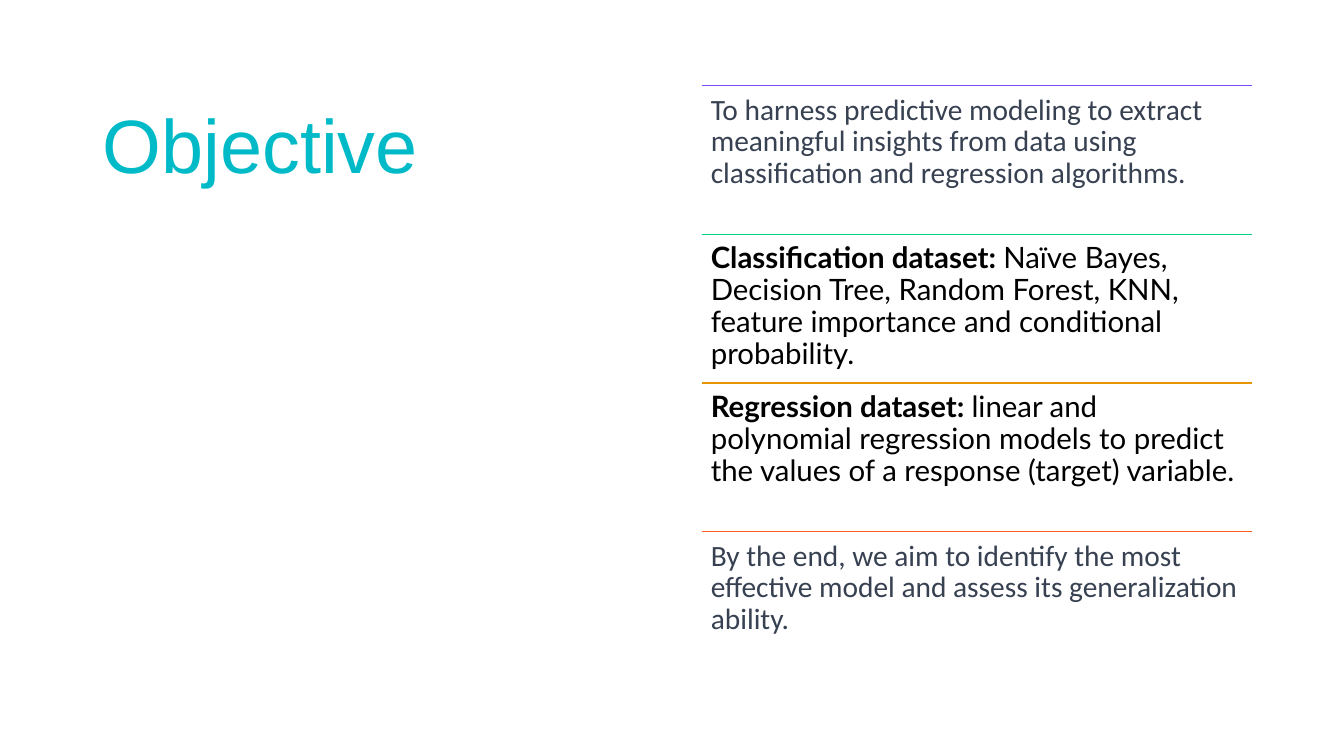
from dataclasses import dataclass

from lxml import etree
from pptx import Presentation
from pptx.dml.color import RGBColor
from pptx.enum.shapes import MSO_CONNECTOR
from pptx.enum.text import MSO_ANCHOR, PP_ALIGN
from pptx.oxml.ns import qn
from pptx.util import Inches, Pt

STRAIGHT = MSO_CONNECTOR.STRAIGHT
TOP = MSO_ANCHOR.TOP
LEFT = PP_ALIGN.LEFT


@dataclass(frozen=True)
class Theme:
    title_color: str = "00BAC8"
    slate: str = "374151"
    black: str = "000000"
    rules: tuple = ("794DFF", "00D17D", "E69500", "FE5D21")
    title_font: str = "Arial"
    plain_font: str = "Calibri"
    dataset_font: str = "Lato"
    title_size: int = 54
    body_size: int = 21
    rule_width: int = 1


THEME = Theme()

# Column layout in inches
TITLE_LEFT, LIST_LEFT = 0.92, 6.96
COLUMN_TOP, COLUMN_WIDTH, COLUMN_HEIGHT = 0.85, 5.46, 5.9

# Each goal: bold lead-in (may be empty) and its statement
GOALS = [
    ("", "To harness predictive modeling to extract meaningful insights "
         "from data using classification and regression algorithms."),
    ("Classification dataset: ",
     "Naïve Bayes, Decision Tree, Random Forest, KNN, feature importance "
     "and conditional probability."),
    ("Regression dataset: ",
     "linear and polynomial regression models to predict the values of a "
     "response (target) variable."),
    ("", "By the end, we aim to identify the most effective model and "
         "assess its generalization ability."),
]


def add_text_frame(slide, left, top, height, inset_x, inset_y):
    box = slide.shapes.add_textbox(Inches(left), Inches(top),
                                   Inches(COLUMN_WIDTH), Inches(height))
    tf = box.text_frame
    tf.word_wrap = True
    tf.vertical_anchor = TOP
    tf.margin_left = tf.margin_right = Inches(inset_x)
    tf.margin_top = tf.margin_bottom = Inches(inset_y)
    tf.paragraphs[0].alignment = LEFT
    return tf


def add_run(p, text, font, size, color, bold=False):
    r = p.add_run()
    r.text = text
    r.font.name = font
    r.font.size = Pt(size)
    r.font.bold = bold
    r.font.color.rgb = RGBColor.from_string(color)


def add_title(slide, text):
    tf = add_text_frame(slide, TITLE_LEFT, COLUMN_TOP, COLUMN_HEIGHT, 0.1, 0.12)
    add_run(tf.paragraphs[0], text, THEME.title_font, THEME.title_size,
            THEME.title_color)


def add_rule(slide, top, color):
    line = slide.shapes.add_connector(
        STRAIGHT, Inches(LIST_LEFT), Inches(top),
        Inches(LIST_LEFT + COLUMN_WIDTH), Inches(top))
    line.line.color.rgb = RGBColor.from_string(color)
    line.line.width = Pt(THEME.rule_width)
    etree.SubElement(line._element.spPr, qn("a:effectLst"))


def add_goal(slide, top, height, lead, statement):
    tf = add_text_frame(slide, LIST_LEFT, top, height, 0.09, 0.09)
    p = tf.paragraphs[0]
    p.line_spacing = 0.9
    if lead:
        font, color = THEME.dataset_font, THEME.black
        add_run(p, lead, font, THEME.body_size, color, bold=True)
    else:
        font, color = THEME.plain_font, THEME.slate
    add_run(p, statement, font, THEME.body_size, color)


def main():
    prs = Presentation()
    prs.slide_width, prs.slide_height = Inches(13.33), Inches(7.5)
    slide = prs.slides.add_slide(prs.slide_layouts[6])

    # Left column
    add_title(slide, "Objective")

    # Right column: equal rows, each under a coloured rule
    row_height = COLUMN_HEIGHT / len(GOALS)
    for i, ((lead, statement), color) in enumerate(zip(GOALS, THEME.rules)):
        top = COLUMN_TOP + i * row_height
        add_rule(slide, top, color)
        add_goal(slide, top, row_height, lead, statement)

    prs.save("out.pptx")


if __name__ == "__main__":
    main()
